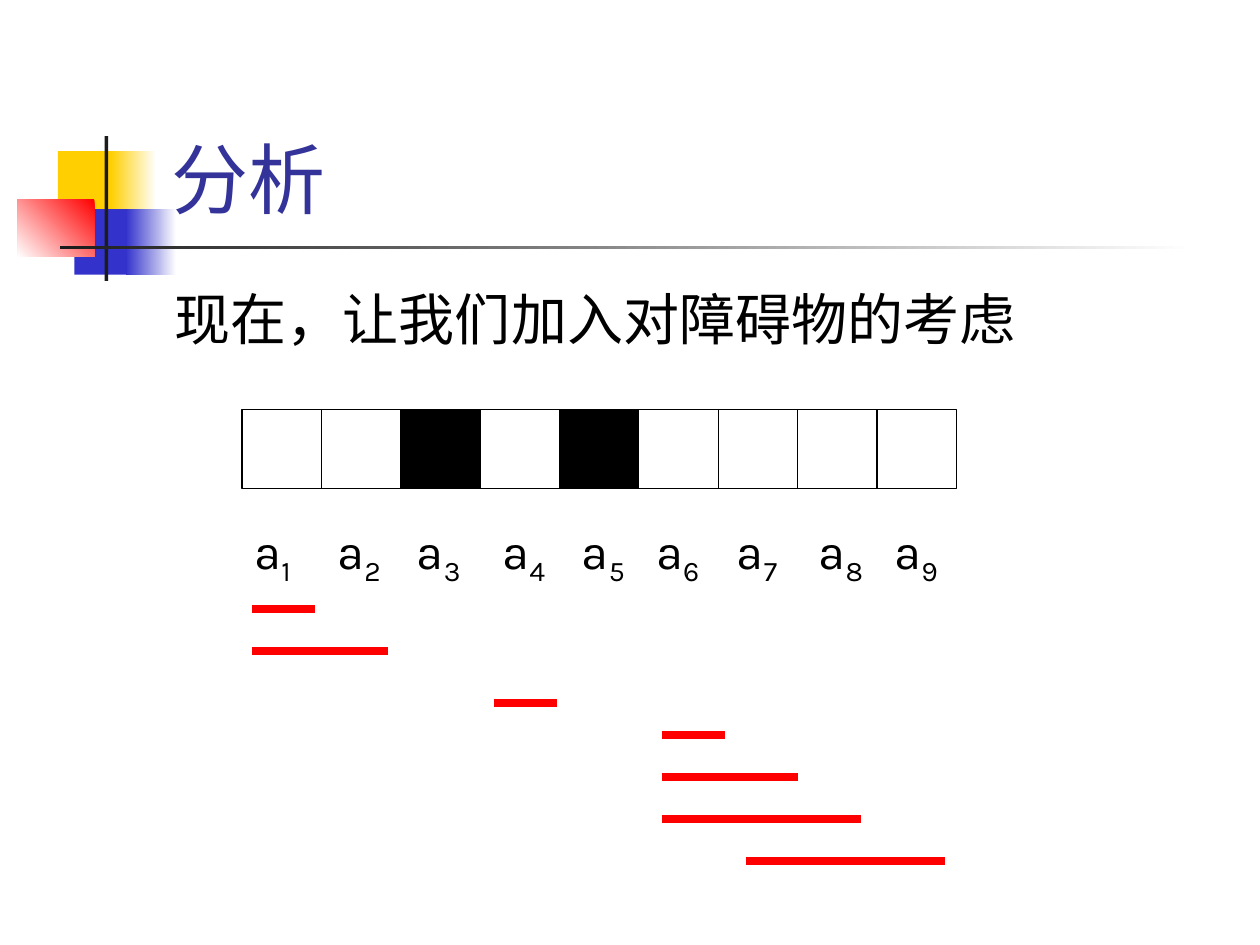
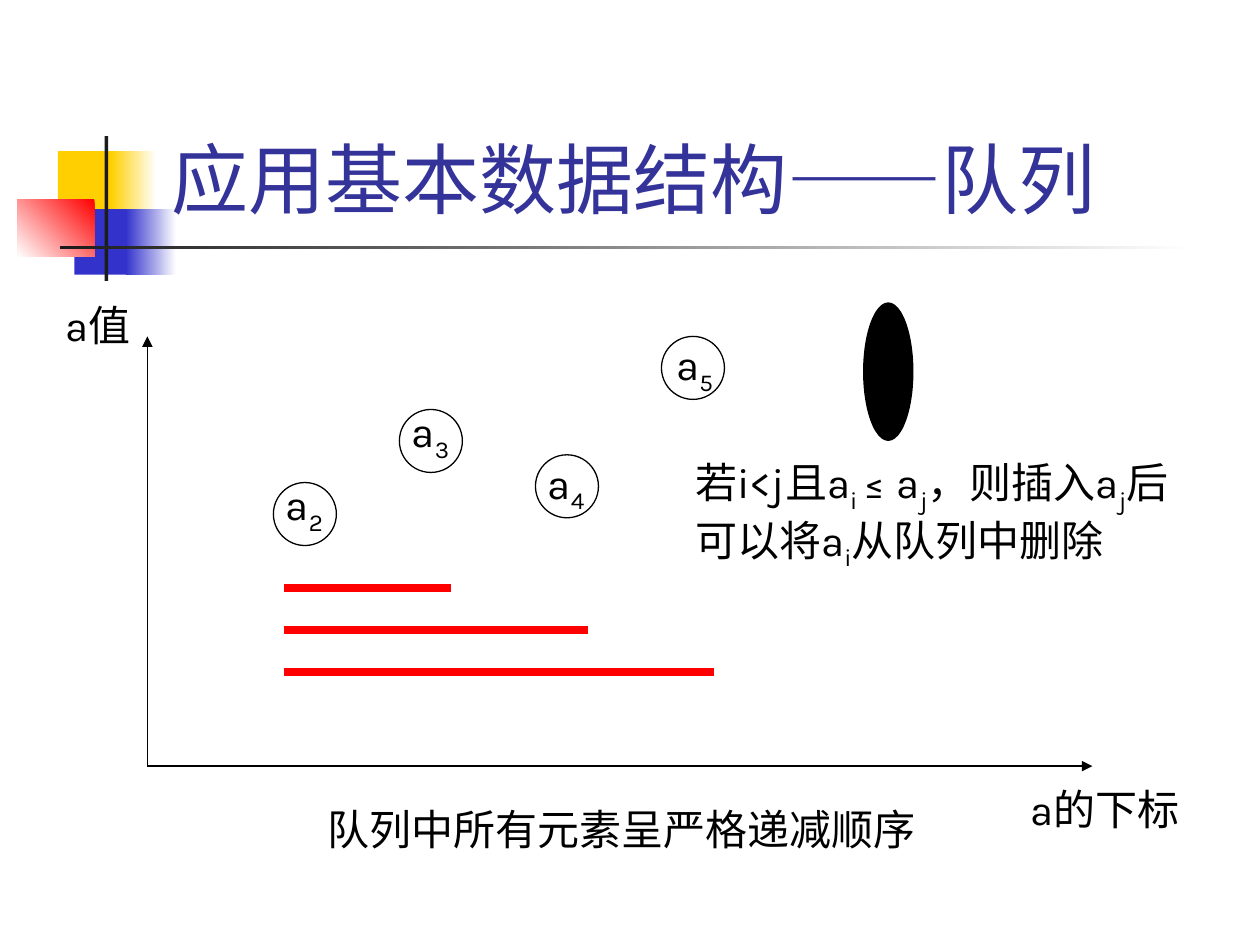
from dataclasses import dataclass

from lxml import etree
from pptx import Presentation
from pptx.dml.color import RGBColor
from pptx.enum.shapes import MSO_CONNECTOR, MSO_SHAPE
from pptx.enum.text import MSO_ANCHOR, MSO_AUTO_SIZE, PP_ALIGN
from pptx.oxml.ns import qn
from pptx.util import Inches, Pt


@dataclass(frozen=True)
class Theme:
    font: str = "Karla"
    ink: str = "000000"
    paper: str = "FFFFFF"
    title: str = "333399"
    span: str = "FF0000"
    yellow: str = "FFCF01"
    blue: str = "3333CC"
    red: str = "FF0000"
    rule: str = "1C1C1C"
    title_size: float = 44
    lead_size: float = 32
    index_size: float = 28
    label_size: float = 24
    thin: float = 0.75
    thick: float = 4.5


THEME = Theme()
SUB = {"baseline": "-25000"}

# Shared emblem: left, top, width, height, colours, angle (counterclockwise)
EMBLEM = [
    (0.46, 1.2, 0.48, 0.52, [THEME.yellow], 0),
    (0.88, 1.2, 0.36, 0.52, [THEME.paper, THEME.yellow], 180),
    (0.59, 1.66, 0.46, 0.52, [THEME.blue], 0),
    (1, 1.66, 0.4, 0.52, [THEME.paper, THEME.blue], 180),
    (0.14, 1.58, 0.61, 0.46, [THEME.red, THEME.paper], 225),
    (0.83, 1.08, 0.03, 1.15, [THEME.rule], 0),
    (0.48, 1.95, 9, 0.03, [THEME.paper, THEME.rule], 180),
]

# Slide 1: a row of cells with obstacles, and the spans that avoid them
ANALYSIS_TITLE = "分析"
ANALYSIS_LEAD = "现在，让我们加入对障碍物的考虑"
ROW_LEFT, ROW_TOP, CELL, CELL_COUNT = 1.92, 3.25, 0.63, 9
DIVIDERS = [1, 6, 7, 8]
OBSTACLES = [4, 2]
INDEX_LEFTS = [1.92, 2.58, 3.21, 3.89, 4.52, 5.11, 5.75, 6.4, 7]
FREE_SPANS = [  # start, end, height on the slide
    (2, 2.5, 4.83), (2, 3.08, 5.17), (3.92, 4.42, 5.58), (5.25, 5.75, 5.83),
    (5.25, 6.33, 6.17), (5.25, 6.83, 6.5), (5.92, 7.5, 6.83),
]

# Slide 2: queue elements plotted by index and value
QUEUE_TITLE = "应用基本数据结构——队列"
ORIGIN, INDEX_END, VALUE_END = (1.17, 6.08), (8.67, 6.08), (1.17, 2.67)
ELEMENTS = [  # index, circle position, label position
    (2, (2.17, 3.83), (2.17, 3.75)),
    (3, (3.17, 3.25), (3.17, 3.17)),
    (4, (4.25, 3.61), (4.25, 3.58)),
    (5, (5.25, 2.67), (5.27, 2.64)),
]
QUEUE_SPANS = [(2.25, 3.58, 4.67), (2.25, 4.67, 5), (2.25, 5.67, 5.33)]
DELETE_RULE = [
    ("若i<j且a", {}), ("i ", SUB), ("≤", {}), (" ", {"sz": "2800"}),
    ("a", {}), ("j", SUB), ("，则插入a", {}), ("j", SUB),
    ("后可以将a", {}), ("i", SUB), ("从队列中删除", {}),
]
QUEUE_LABELS = [  # text, left, top, width, height
    ("a值", 0.42, 2.33, 0.92, 0.5),
    ("a的下标", 8.08, 6.17, 1.42, 0.9),
    (DELETE_RULE, 5.42, 3.52, 4.08, 1.47),
    ("队列中所有元素呈严格递减顺序", 2.5, 6.33, 4.92, 0.5),
]


def rgb(colour):
    return RGBColor.from_string(colour)


def write(holder, text, size=THEME.label_size, colour=THEME.ink,
          before=0, anchor=MSO_ANCHOR.TOP):
    """Fill a text holder with a string or with (text, attributes) runs."""
    frame = holder.text_frame
    frame.word_wrap = True
    frame.auto_size = MSO_AUTO_SIZE.NONE
    frame.vertical_anchor = anchor
    paragraph = frame.paragraphs[0]
    paragraph.alignment = PP_ALIGN.LEFT
    paragraph.space_before = Pt(before)
    for words, attributes in [(text, {})] if isinstance(text, str) else text:
        run = paragraph.add_run()
        run.text = words
        run.font.name = THEME.font
        run.font.size = Pt(size)
        run.font.color.rgb = rgb(colour)
        for name, value in attributes.items():
            run.font._element.set(name, value)


def add_label(slide, text, left, top, width, height, **style):
    box = slide.shapes.add_textbox(*map(Inches, (left, top, width, height)))
    write(box, text, **style)


def indexed(number):
    return [("a", {}), (str(number), SUB)]


def add_form(slide, kind, left, top, width, height,
             colours=(), angle=0, outline=None):
    form = slide.shapes.add_shape(kind, *map(Inches, (left, top, width, height)))
    form.shadow.inherit = False
    if len(colours) == 2:
        form.fill.gradient()
        form.fill.gradient_angle = angle
        for stop, colour in zip(form.fill.gradient_stops, colours):
            stop.color.rgb = rgb(colour)
    elif colours:
        form.fill.solid()
        form.fill.fore_color.rgb = rgb(colours[0])
    else:
        form.fill.background()
    if outline:
        form.line.color.rgb = rgb(outline)
        form.line.width = Pt(THEME.thin)
    else:
        form.line.fill.background()
    return form


def add_line(slide, start, end, colour=THEME.ink, width=THEME.thin, arrow=False):
    line = slide.shapes.add_connector(
        MSO_CONNECTOR.STRAIGHT, *map(Inches, (*start, *end)))
    line.line.color.rgb = rgb(colour)
    line.line.width = Pt(width)
    if arrow:
        etree.SubElement(line.line._get_or_add_ln(), qn("a:tailEnd"), type="triangle")
    etree.SubElement(line.element.spPr, qn("a:effectLst"))


def add_spans(slide, spans):
    for start, end, y in spans:
        add_line(slide, (start, y), (end, y), THEME.span, THEME.thick)


def add_titled_slide(deck, layout, text):
    slide = deck.slides.add_slide(layout)
    title = slide.shapes.title
    title.left, title.top, title.width, title.height = map(
        Inches, (1.26, 0.23, 8.52, 1.6))
    write(title, text, size=THEME.title_size, colour=THEME.title,
          anchor=MSO_ANCHOR.BOTTOM)
    return slide


def move_emblem_to_layout(slide, layout):
    """Build the emblem, then keep it on the layout so every slide shows it."""
    for *place, colours, angle in EMBLEM:
        part = add_form(slide, MSO_SHAPE.RECTANGLE, *place, colours, angle)
        layout.shapes.element.append(part.element)


def build_analysis(slide):
    add_label(slide, ANALYSIS_LEAD, 1.29, 2.21, 7.04, 0.71,
              size=THEME.lead_size, before=8)
    # Row of cells
    add_form(slide, MSO_SHAPE.RECTANGLE, ROW_LEFT, ROW_TOP, CELL * CELL_COUNT, CELL,
             [THEME.paper], outline=THEME.ink)
    for cell in DIVIDERS:
        x = ROW_LEFT + cell * CELL
        add_line(slide, (x, ROW_TOP), (x, ROW_TOP + CELL))
    for cell in OBSTACLES:
        add_form(slide, MSO_SHAPE.RECTANGLE, ROW_LEFT + cell * CELL, ROW_TOP,
                 CELL, CELL, [THEME.ink], outline=THEME.ink)
    # Indices and spans
    for number, left in enumerate(INDEX_LEFTS, start=1):
        add_label(slide, indexed(number), left, 4.08, 0.75, 0.63,
                  size=THEME.index_size, before=17.5)
    add_spans(slide, FREE_SPANS)


def build_queue(slide):
    # Axes
    for end in (INDEX_END, VALUE_END):
        add_line(slide, ORIGIN, end, arrow=True)
    # Elements and spans
    for number, circle, label in ELEMENTS:
        add_form(slide, MSO_SHAPE.OVAL, *circle, 0.5, 0.5, outline=THEME.ink)
        add_label(slide, indexed(number), *label, 0.83, 0.56, before=15)
    add_spans(slide, QUEUE_SPANS)
    # Axis names and remarks
    for text, *place in QUEUE_LABELS:
        add_label(slide, text, *place, before=15)
    # Plain stand-in for the figure
    add_form(slide, MSO_SHAPE.OVAL, 6.85, 2.4, 0.4, 1.1, [THEME.ink])


def main():
    deck = Presentation()
    deck.slide_width, deck.slide_height = Inches(10), Inches(7.5)
    layout = deck.slide_layouts.get_by_name("Title Only")
    analysis = add_titled_slide(deck, layout, ANALYSIS_TITLE)
    move_emblem_to_layout(analysis, layout)
    build_analysis(analysis)
    build_queue(add_titled_slide(deck, layout, QUEUE_TITLE))
    deck.save("out.pptx")


if __name__ == "__main__":
    main()
